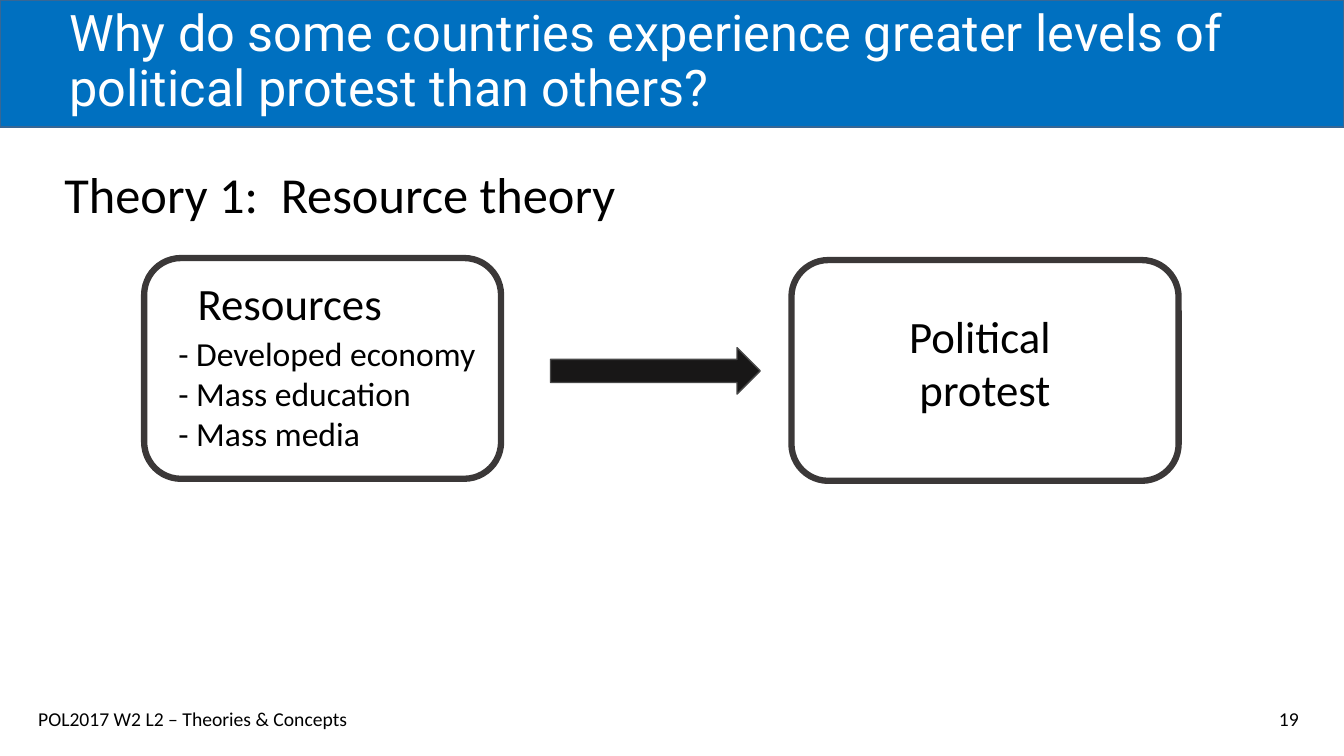
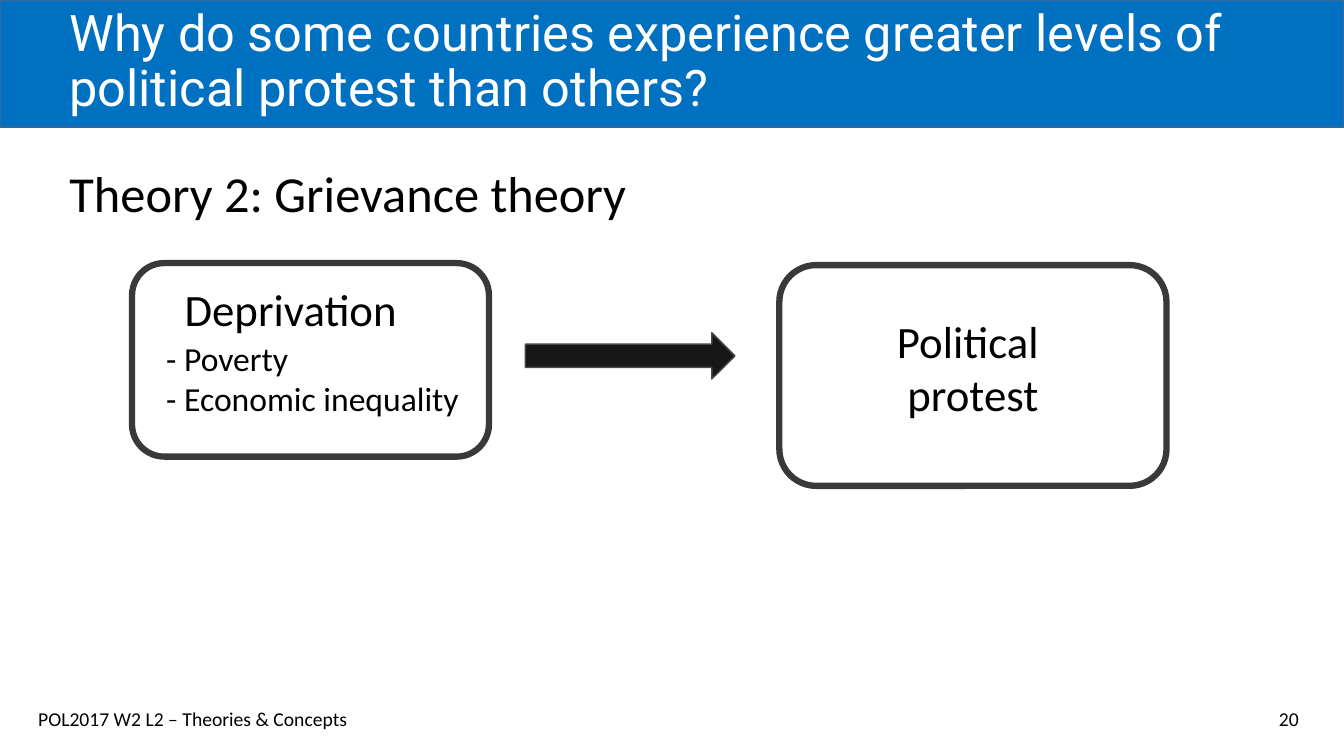
from dataclasses import dataclass

from pptx import Presentation
from pptx.dml.color import RGBColor
from pptx.enum.shapes import MSO_SHAPE
from pptx.enum.text import MSO_ANCHOR, PP_ALIGN
from pptx.util import Inches, Pt

RECTANGLE = MSO_SHAPE.RECTANGLE
ROUNDED = MSO_SHAPE.ROUNDED_RECTANGLE
ARROW = MSO_SHAPE.RIGHT_ARROW
LEFT, CENTER, RIGHT = PP_ALIGN.LEFT, PP_ALIGN.CENTER, PP_ALIGN.RIGHT
TOP, BOTTOM = MSO_ANCHOR.TOP, MSO_ANCHOR.BOTTOM

WIDTH, HEIGHT = 13.33, 7.5
BODY_FONT, TITLE_FONT = "Calibri", "Roboto"
COLORS = {
    "band": "0070C0",
    "band_line": "376795",
    "title": "FFFFFF",
    "text": "000000",
    "outline": "3B3838",
    "arrow": "181717",
    "arrow_line": "484848",
}
TITLE = "Why do some countries experience greater levels of political protest than others?"
FOOTER = "POL2017 W2 L2 – Theories & Concepts"
EFFECT = ["Political ", "protest"]


@dataclass
class Theory:
    """Content of one theory slide; offsets are measured from the cause box."""

    number: int
    heading: str
    heading_at: tuple
    cause: str
    factors: list
    cause_box: tuple
    cause_offset: tuple
    arrow_offset: tuple


THEORIES = [
    Theory(19, "Theory 1:  Resource theory", (0.54, 1.57), "Resources",
           ["- Developed economy", "- Mass education", "- Mass media"],
           (1.43, 2.56, 3.54, 2.19), (-0.12, 0.13), (4.03, 0.89)),
    Theory(20, "Theory 2: Grievance theory", (0.59, 1.56), "Deprivation",
           ["- Poverty", "- Economic inequality"],
           (1.31, 2.61, 3.54, 1.92), (0.01, 0.14), (3.9, 0.69)),
]


def rgb(name):
    """Return the named colour."""
    return RGBColor.from_string(COLORS[name])


def add_shape(slide, kind, box, line, line_width, fill=None):
    """Add an outlined preset shape, filled only when a fill is named."""
    shape = slide.shapes.add_shape(kind, *map(Inches, box))
    shape.shadow.inherit = False
    if fill:
        shape.fill.solid()
        shape.fill.fore_color.rgb = rgb(fill)
    else:
        shape.fill.background()
    shape.line.color.rgb = rgb(line)
    shape.line.width = Pt(line_width)


def add_text(slide, box, lines, size, align=LEFT, font=BODY_FONT, color="text",
             anchor=TOP, spacing=1.0):
    """Add a wrapped text box with one paragraph for each line."""
    frame = slide.shapes.add_textbox(*map(Inches, box)).text_frame
    frame.word_wrap = True
    frame.vertical_anchor = anchor
    frame.text = "\n".join(lines)
    for paragraph in frame.paragraphs:
        paragraph.alignment = align
        paragraph.line_spacing = spacing
        paragraph.font.size = Pt(size)
        paragraph.font.name = font
        paragraph.font.color.rgb = rgb(color)


def add_frame(slide, number):
    """Add the title band, title, footer and slide number."""
    add_shape(slide, RECTANGLE, (0, 0, WIDTH, 1.26), "band_line", 1, "band")
    add_text(slide, (0.59, 0.21, 12.15, 1), [TITLE], 36, font=TITLE_FONT,
             color="title", anchor=BOTTOM, spacing=0.9)
    add_text(slide, (0.28, 6.96, 4.22, 0.4), [FOOTER], 14)
    add_text(slide, (10.16, 6.96, 2.82, 0.4), [str(number)], 14, RIGHT)


def add_cause(slide, box, theory):
    """Add the cause box with its heading and list of factors."""
    left, top = box[:2]
    shift_x, shift_y = theory.cause_offset
    add_shape(slide, ROUNDED, box, "outline", 4.5)
    add_text(slide, (left + shift_x, top + shift_y, 3.13, 0.64), [theory.cause], 32, CENTER)
    list_height = 0.1 + 0.4 * len(theory.factors)
    add_text(slide, (left + 0.24, top + 0.69, 4.32, list_height), theory.factors, 24)


def add_effect(slide, box):
    """Add the effect box with its centred label."""
    left, top, width, _ = box
    add_shape(slide, ROUNDED, box, "outline", 4.5)
    add_text(slide, (left + 0.8, top + 0.43, width - 1.6, 1.18), EFFECT, 32, CENTER)


def add_theory_slide(presentation, theory):
    """Add a slide that links a cause to its effect."""
    slide = presentation.slides.add_slide(presentation.slide_layouts[6])
    add_frame(slide, theory.number)
    add_text(slide, (*theory.heading_at, 9.15, 0.71), [theory.heading], 36)
    left, top = theory.cause_box[:2]
    shift_x, shift_y = theory.arrow_offset
    add_cause(slide, theory.cause_box, theory)
    add_shape(slide, ARROW, (left + shift_x, top + shift_y, 2.08, 0.46),
              "arrow_line", 1, "arrow")
    add_effect(slide, (left + 6.42, top + 0.02, 3.84, 2.19))


def main():
    """Build and save the presentation."""
    presentation = Presentation()
    presentation.slide_width = Inches(WIDTH)
    presentation.slide_height = Inches(HEIGHT)
    for theory in THEORIES:
        add_theory_slide(presentation, theory)
    presentation.save("out.pptx")


if __name__ == "__main__":
    main()
